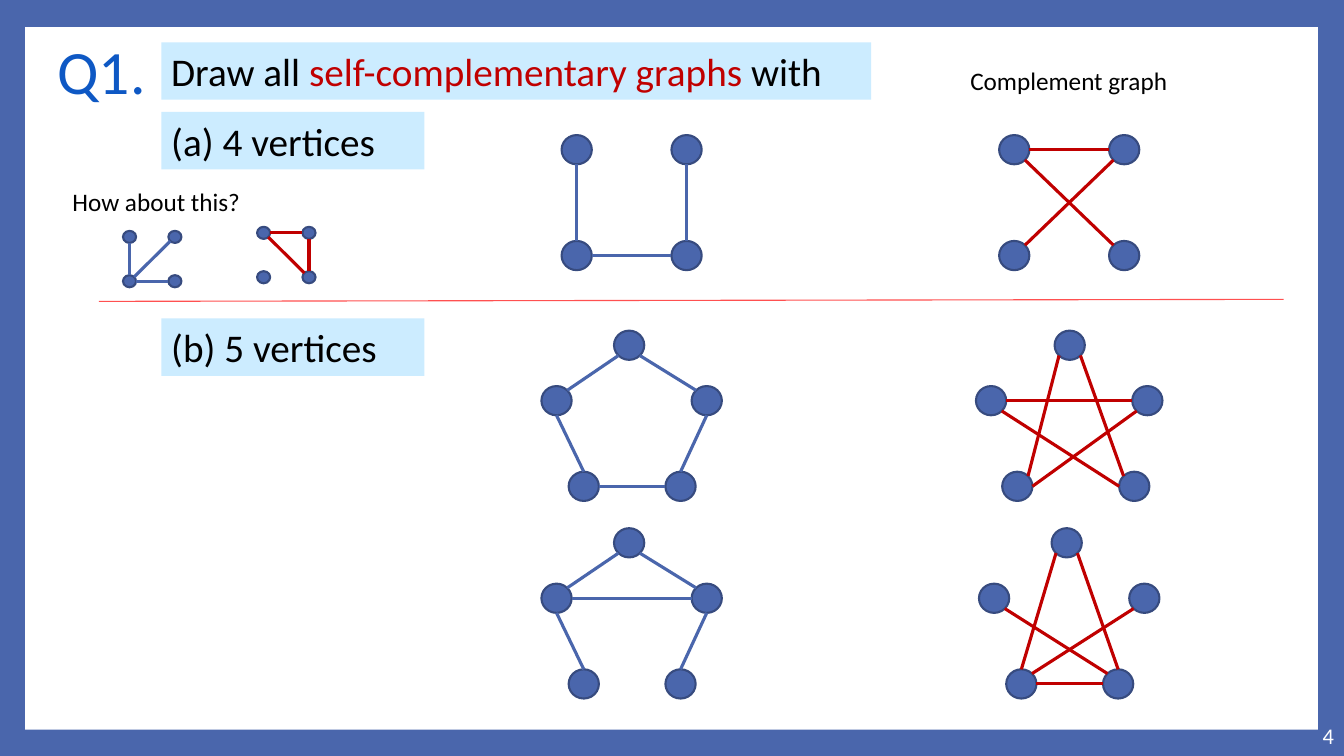
"""Build the slide on self-complementary graphs with four and five vertices."""
from dataclasses import dataclass

from lxml import etree
from pptx import Presentation
from pptx import util as u
from pptx.dml.color import RGBColor
from pptx.enum import shapes, text
from pptx.oxml import ns


@dataclass(frozen=True)
class Theme:
    font: str = "Calibri"
    blue: str = "4A66AC"
    rim: str = "374B7F"
    red: str = "C00000"
    rule: str = "FF5050"
    head: str = "0E58C4"
    pale: str = "CCECFF"
    white: str = "FFFFFF"
    black: str = "000000"
    title: int = 44
    body: int = 28
    note: int = 18
    page: int = 16


theme = Theme()
rgb = RGBColor.from_string


def write(box, *runs, size=theme.note, color=theme.black,
          align=text.PP_ALIGN.LEFT, anchor=text.MSO_ANCHOR.TOP):
    frame = box.text_frame
    frame.word_wrap = True
    frame.auto_size = text.MSO_AUTO_SIZE.NONE
    frame.vertical_anchor = anchor
    para = frame.paragraphs[0]
    para.alignment = align
    for words, tint in runs:
        run = para.add_run()
        run.text = words
        run.font.name = theme.font
        run.font.size = u.Pt(size)
        run.font.color.rgb = rgb(tint or color)
    return para


def draw_line(home, start, end, color, width):
    line = home.add_connector(shapes.MSO_CONNECTOR.STRAIGHT,
                              *map(u.Inches, (*start, *end)))
    line.line.color.rgb = rgb(color)
    line.line.width = u.Pt(width)
    etree.SubElement(line._element.spPr, ns.qn("a:effectLst"))


deck = Presentation()
deck.slide_width, deck.slide_height = u.Inches(13.33), u.Inches(7.5)
slide = deck.slides.add_slide(deck.slide_layouts[5])
slide.background.fill.solid()
slide.background.fill.fore_color.rgb = rgb(theme.blue)

panels = [
    (0.25, 0.27, 12.82, 6.97, theme.white, []),
    (1.6, 0.42, 7.04, 0.57, theme.pale,
     [("Draw all ", None), ("self-complementary graphs ", theme.red), ("with", None)]),
    (1.6, 1.11, 2.61, 0.57, theme.pale, [("(a) 4 vertices", None)]),
    (1.6, 3.16, 2.61, 0.57, theme.pale, [("(b) 5 vertices", None)]),
]
for *place, fill, runs in panels:
    panel = slide.shapes.add_shape(shapes.MSO_SHAPE.RECTANGLE, *map(u.Inches, place))
    panel.shadow.inherit = False
    panel.fill.solid()
    panel.fill.fore_color.rgb = rgb(fill)
    panel.line.fill.background()
    if runs:
        write(panel, *runs, size=theme.body)

title = slide.shapes.title
title.left, title.top, title.width, title.height = map(u.Inches, (0.47, 0.32, 1.43, 0.84))
para = write(title, ("Q1.", None), size=theme.title, color=theme.head,
             anchor=text.MSO_ANCHOR.MIDDLE)
para.line_spacing = 0.9
slide.shapes[1]._element.addnext(title._element)

notes = [
    (9.16, 0.6, 2.88, "Complement graph", dict(align=text.PP_ALIGN.CENTER)),
    (0.62, 1.8, 1.96, "How about this?", {}),
    (11.46, 7.1, 1.87, "4", dict(size=theme.page, color=theme.white,
                                 align=text.PP_ALIGN.RIGHT,
                                 anchor=text.MSO_ANCHOR.MIDDLE)),
]
for left, top, width, words, style in notes:
    box = slide.shapes.add_textbox(*map(u.Inches, (left, top, width, 0.4)))
    write(box, (words, None), **style)

draw_line(slide.shapes, (0.98, 2.99), (12.73, 2.97), theme.rule, 0.79)

large, small = (0.3, 0.29), (0.13, 0.12)
square = [(0, 0), (1.09, 0), (0, 1.05), (1.09, 1.05)]
tiny = [(0, 0), (0.45, 0), (0, 0.44), (0.45, 0.44)]
house = [(0.72, 0), (0, 0.55), (1.49, 0.55), (0.27, 1.4), (1.23, 1.4)]
star = [(0.78, 0), (0, 0.55), (1.55, 0.55), (0.26, 1.4), (1.42, 1.4)]
roof = "0se-2nw 0sw-1ne 1s-3n 2s-4n "

graphs = [
    (5.57, 1.34, square, large, theme.blue, "0s-2n 1s-3n 3w-2e"),
    (9.91, 1.34, square, large, theme.red, "0se-3nw 1sw-2ne 1w-0e"),
    (5.37, 3.28, house, large, theme.blue, roof + "4w-3e"),
    (9.68, 3.28, star, large, theme.red, "3e-2sw 4w-1se 1e-2w 0se-4nw 0sw-3ne"),
    (5.37, 5.24, house, large, theme.blue, roof + "2w-1e"),
    (9.71, 5.24, house, large, theme.red, "2sw-3ne 4w-3e 4nw-1se 0se-4n 0sw-3n"),
    (1.22, 2.29, tiny, small, theme.blue, "0s-2n 1sw-2ne 3w-2e"),
    (2.55, 2.25, tiny, small, theme.red, "0e-1w 3nw-0se 1s-3n"),
]
for left, top, spots, (wide, high), color, edges in graphs:
    group = slide.shapes.add_group_shape().shapes
    for x, y in spots:
        dot = group.add_shape(shapes.MSO_SHAPE.OVAL,
                              *map(u.Inches, (left + x, top + y, wide, high)))
        dot.shadow.inherit = False
        dot.fill.solid()
        dot.fill.fore_color.rgb = rgb(theme.blue)
        dot.line.color.rgb = rgb(theme.rim)
        dot.line.width = u.Pt(1.5)
    for edge in edges.split():
        ends = []
        for end in edge.split("-"):
            x, y = spots[int(end[0])]
            side = end[1:]
            reach = 0.5 if len(side) == 1 else 0.5 ** 1.5
            east = ("e" in side) - ("w" in side)
            south = ("s" in side) - ("n" in side)
            ends.append((left + x + wide * (0.5 + reach * east),
                         top + y + high * (0.5 + reach * south)))
        draw_line(group, *ends, color, 2.25)

deck.save("out.pptx")
